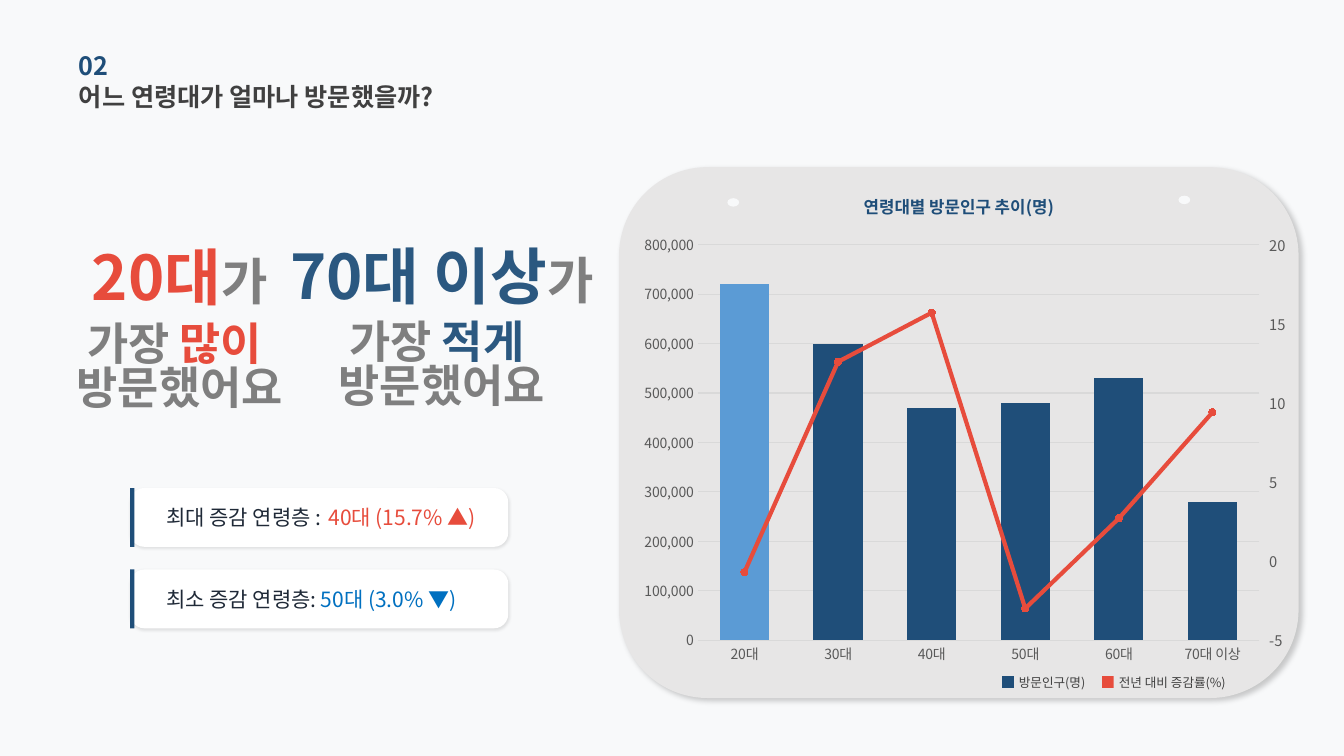
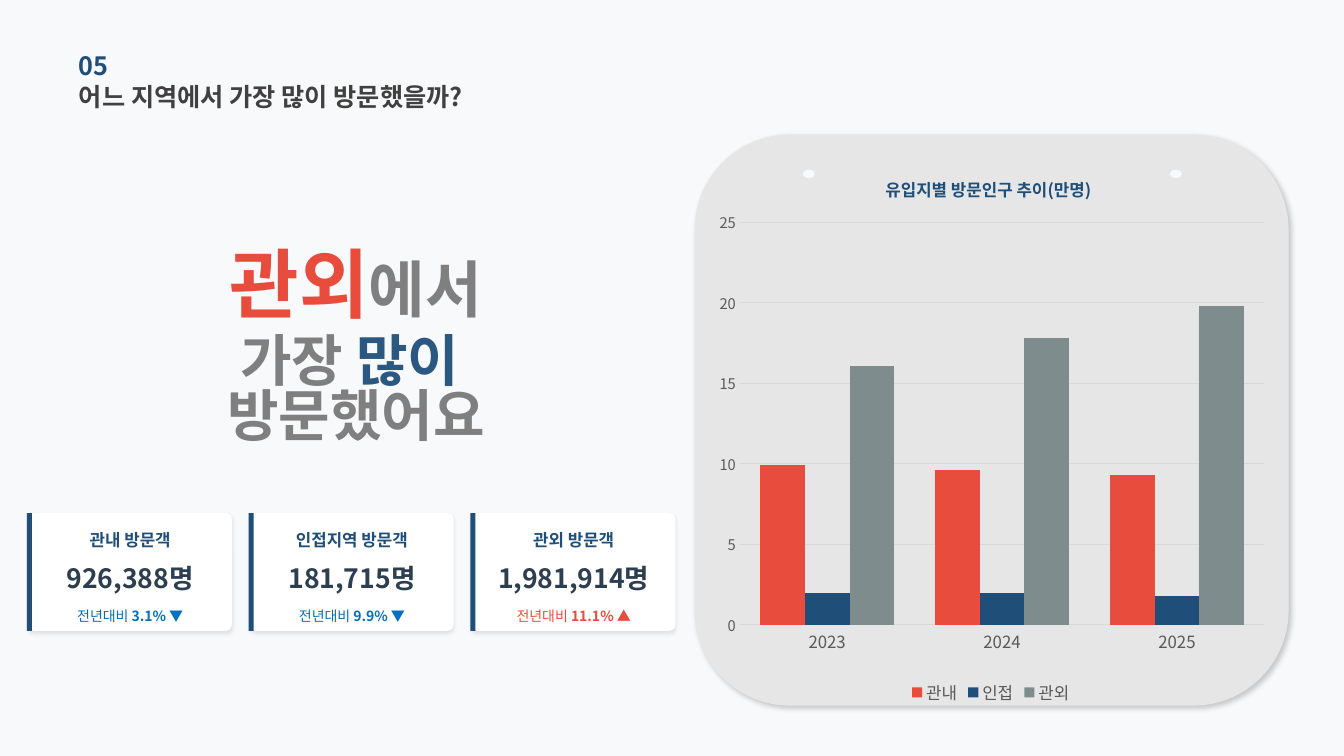
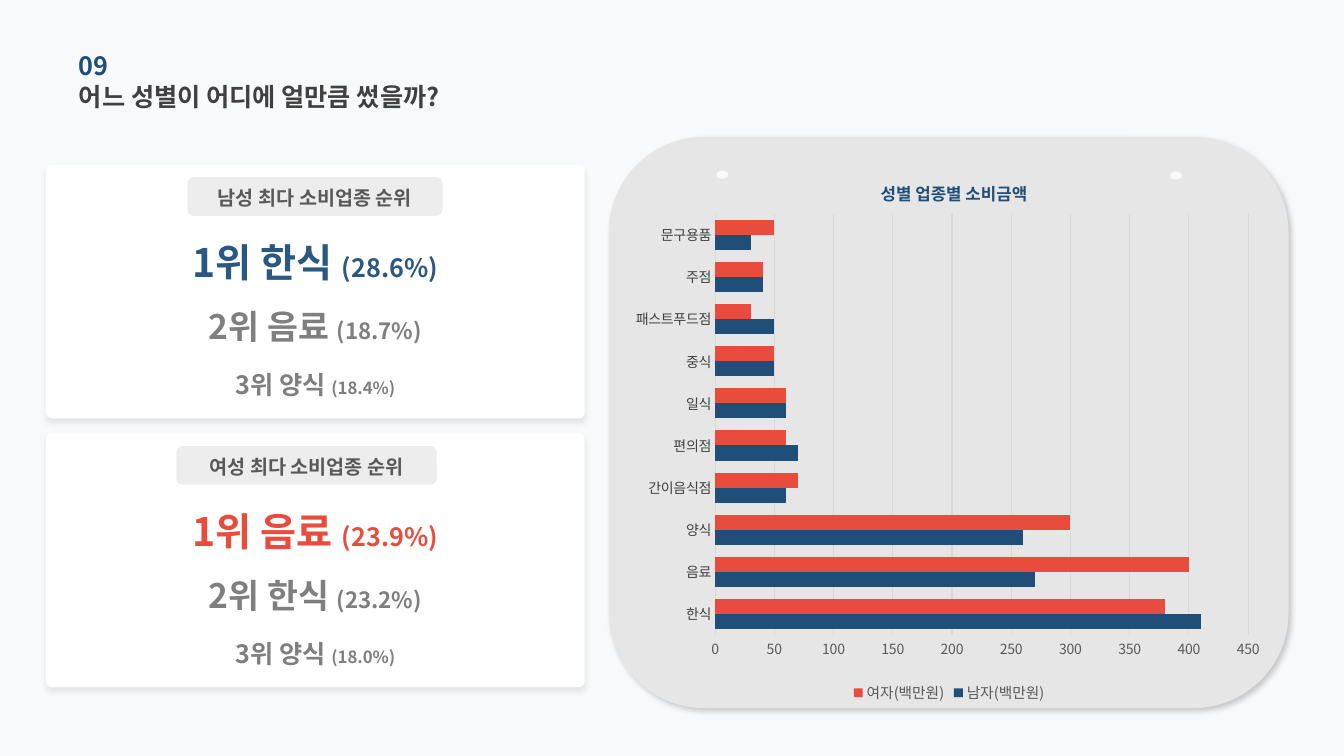
import pptx
import pptx.chart.data
import pptx.dml.color
import pptx.enum.chart
import pptx.enum.shapes
import pptx.enum.text
import pptx.oxml
import pptx.oxml.ns
import pptx.util

RGBColor = pptx.dml.color.RGBColor
PAPER = RGBColor(0xF8, 0xF9, 0xFA)
WHITE = RGBColor(0xFF, 0xFF, 0xFF)
PANEL = RGBColor(0xE7, 0xE6, 0xE6)
BADGE = RGBColor(0xD0, 0xCE, 0xCE)
RULE = RGBColor(0xD9, 0xD9, 0xD9)
NAVY = RGBColor(0x1F, 0x4E, 0x79)
STEEL = RGBColor(0x2B, 0x58, 0x80)
SKY = RGBColor(0x5B, 0x9B, 0xD5)
BLUE = RGBColor(0x00, 0x70, 0xC0)
RED = RGBColor(0xE7, 0x4C, 0x3C)
SAGE = RGBColor(0x7F, 0x8C, 0x8D)
GRAY = RGBColor(0x7F, 0x7F, 0x7F)
SLATE = RGBColor(0x59, 0x59, 0x59)
CHARCOAL = RGBColor(0x40, 0x40, 0x40)
INK = RGBColor(0x1F, 0x29, 0x37)
MIDNIGHT = RGBColor(0x2C, 0x3E, 0x50)

FONT = "Noto Sans CJK KR"
SHAPE = pptx.enum.shapes.MSO_SHAPE
ALIGN = pptx.enum.text.PP_ALIGN
CHART = pptx.enum.chart.XL_CHART_TYPE
TICK = pptx.enum.chart.XL_TICK_MARK
Pt = pptx.util.Pt
qn = pptx.oxml.ns.qn
NAMES = pptx.oxml.ns.nsdecls("a", "c")

deck = pptx.Presentation()
deck.slide_height = pptx.util.Inches(7.5)
deck.slide_width = deck.slide_height * 16 // 9
CELL = deck.slide_width / 160
backdrop = deck.slide_master.background.fill
backdrop.solid()
backdrop.fore_color.rgb = PAPER


def draw(page, kind, box, color, corner=None, shadow=None, opacity=None):
    shape = page.shapes.add_shape(kind, *[int(CELL * cells) for cells in box])
    shape.shadow.inherit = False
    shape.fill.solid()
    shape.fill.fore_color.rgb = color
    shape.line.fill.background()
    if corner is not None:
        shape.adjustments[0] = corner
    if shadow:
        strength, blur, distance, angle = shadow
        shape.element.spPr.find(qn("a:effectLst")).append(pptx.oxml.parse_xml(
            f'<a:outerShdw {NAMES} blurRad="{Pt(blur)}" dist="{Pt(distance)}" dir="{angle * 60000}"'
            f' algn="ctr" rotWithShape="0"><a:srgbClr val="000000">'
            f'<a:alpha val="{strength * 1000}"/></a:srgbClr></a:outerShdw>'))
    if opacity:
        shape.element.spPr.find(qn("a:solidFill"))[0].append(
            pptx.oxml.parse_xml(f'<a:alpha {NAMES} val="{opacity * 1000}"/>'))


def write(page, box, lines, align=ALIGN.CENTER):
    frame = page.shapes.add_textbox(*[int(CELL * cells) for cells in box]).text_frame
    layout = {"word_wrap": True, "vertical_anchor": pptx.enum.text.MSO_ANCHOR.MIDDLE,
              "margin_left": 0, "margin_top": 0, "margin_right": 0, "margin_bottom": 0}
    for name, value in layout.items():
        setattr(frame, name, value)
    for number, spans in enumerate(lines):
        para = frame.add_paragraph() if number else frame.paragraphs[0]
        para.alignment = align
        if len(lines) > 1:
            para.line_spacing = 0.82
        for text, size, color, bold in spans:
            span = para.add_run()
            span.text = text
            for name, value in {"name": FONT, "size": Pt(size), "bold": bold}.items():
                setattr(span.font, name, value)
            span.font.color.rgb = color


pages = []
for number, title, panel, dots in [
    ("02", "어느 연령대가 얼마나 방문했을까?", (73.7, 19.9, 80.9, 63.2), [(86.6, 23.6), (140.3, 23.3)]),
    ("05", "어느 지역에서 가장 많이 방문했을까?", (82.7, 16, 70.7, 68), [(95.6, 20.2), (139.3, 20.2)]),
    ("09", "어느 성별이 어디에 얼만큼 썼을까?", (72.5, 16.3, 80.9, 68), [(85.3, 20.3), (139.3, 20.4)]),
]:
    page = deck.slides.add_slide(deck.slide_layouts[6])
    pages.append(page)
    draw(page, SHAPE.ROUNDED_RECTANGLE, panel, PANEL, shadow=(20, 4, 3, 45))
    write(page, (9.4, 5.3, 63, 4.9), [[(number, 18, NAVY, True)]], ALIGN.LEFT)
    write(page, (9.4, 9, 63, 4.9), [[(title, 18, CHARCOAL, True)]], ALIGN.LEFT)
    for left, top in dots:
        draw(page, SHAPE.OVAL, (left, top, 1.4, 1), PAPER)
age_page, region_page, gender_page = pages

for page, left, top, drop, subject, particle, accent, degree, degree_color, sizes in [
    (age_page, 1.4, 29.9, 9, "20대", "가", RED, "많이 ", RED, (44, 36, 32)),
    (age_page, 32.6, 29.8, 8.9, "70대 이상", "가", STEEL, "적게 ", STEEL, (44, 36, 32)),
    (region_page, 22.4, 30.7, 11, "관외", "에서", RED, "많이 ", STEEL, (54, 44, 40)),
]:
    large, medium, small = sizes
    write(page, (left, top, 40, 5.8), [[(subject, large, accent, True), (particle, medium, GRAY, True)]])
    write(page, (left, top + drop, 40, 10.1), [
        [("가장 ", small, GRAY, True), (degree, small, degree_color, True)],
        [("방문했어요", small, GRAY, True)]])

for row, (label, value, left, color) in enumerate([
    ("최대 증감 연령층 :", "40대 (15.7% ▲)", 39.1, RED),
    ("최소 증감 연령층:", "50대 (3.0% ▼)", 38.2, BLUE),
]):
    top = 58.1 + 9.7 * row
    draw(age_page, SHAPE.ROUNDED_RECTANGLE, (15.5, top, 45, 7), WHITE, 0.24, (10, 2, 1, 90))
    draw(age_page, SHAPE.RECTANGLE, (15.5, top, 0.5, 7), NAVY)
    write(age_page, (19.8, top, 23, 7), [[(label, 15, INK, False)]], ALIGN.LEFT)
    write(age_page, (left, top, 23, 7), [[(value, 15, color, False)]], ALIGN.LEFT)

for column, (heading, count, change, color) in enumerate([
    ("관내 방문객", "926,388명", "3.1% ▼", BLUE),
    ("인접지역 방문객", "181,715명", "9.9% ▼", BLUE),
    ("관외 방문객", "1,981,914명", "11.1% ▲", RED),
]):
    left = 3.4 + 26.4 * column
    draw(region_page, SHAPE.ROUNDED_RECTANGLE, (left, 61.1, 24.2, 14), WHITE, 0.05, (10, 3, 2, 90))
    draw(region_page, SHAPE.RECTANGLE, (left - 0.2, 61.1, 0.6, 14), NAVY)
    for top, height, spans in [
        (63, 2.6, [(heading, 12, NAVY, True)]),
        (66.8, 4.1, [(count, 19, MIDNIGHT, True)]),
        (72.1, 2.4, [("전년대비 ", 10, color, False), (change, 10, color, True)]),
    ]:
        write(region_page, (left, top, 24.2, height), [spans])

for row, (heading, badge_left, badge_width, color, ranks) in enumerate([
    ("남성 최다 소비업종 순위", 22.3, 30.4, STEEL,
     [("1위 한식 ", "(28.6%)"), ("2위 음료 ", "(18.7%)"), ("3위 양식 ", "(18.4%)")]),
    ("여성 최다 소비업종 순위", 21, 31, RED,
     [("1위 음료 ", "(23.9%)"), ("2위 한식 ", "(23.2%)"), ("3위 양식 ", "(18.0%)")]),
]):
    top = 19.6 + 32 * row
    draw(gender_page, SHAPE.ROUNDED_RECTANGLE, (5.5, top, 64.1, 30.2), WHITE, 0.02, (8, 4, 3, 90))
    draw(gender_page, SHAPE.ROUNDED_RECTANGLE, (badge_left, top + 1.5, badge_width, 4.6), BADGE, opacity=36)
    write(gender_page, (badge_left, top + 1.5, badge_width, 4.9), [[(heading, 14, SLATE, True)]])
    styles = [(8.7, 5.8, 28, 18, color), (14.2, 10.1, 24, 16, GRAY), (21.1, 10.1, 18, 12, GRAY)]
    for (name, share), (drop, height, large, small, tint) in zip(ranks, styles):
        write(gender_page, (5.5, top + drop, 64.1, height),
              [[(name, large, tint, True), (share, small, tint, True)]])

charts = []
for page, kind, box, plot_share, title, title_left, legend_size, category_style, value_size, scale, gap, categories, series in [
    (age_page, CHART.COLUMN_CLUSTERED, (75.1, 27, 79.6, 53.5), (0.1, 0.04, 0.84, 0.88),
     None, 0, None, (10, SLATE), 10, (800000, 100000, "#,##0"), 90,
     ["20대", "30대", "40대", "50대", "60대", "70대 이상"],
     [("방문인구(명)", NAVY, (720000, 600000, 470000, 480000, 530000, 280000)),
      ("전년 대비 증감률(%)", RED, (-0.7, 12.6, 15.7, -3, 2.7, 9.4))]),
    (region_page, CHART.COLUMN_CLUSTERED, (84, 17.8, 67.9, 66.6), (0.06, 0.13, 0.92, 0.72),
     "유입지별 방문인구 추이(만명)", 0.31, 12, (12, SLATE), 10.5, (25, 5, "General"), 90,
     ["2023", "2024", "2025"],
     [("관내", RED, (9.9, 9.6, 9.3)), ("인접", NAVY, (2, 2, 1.8)), ("관외", SAGE, (16.1, 17.8, 19.8))]),
    (gender_page, CHART.BAR_CLUSTERED, (74.3, 18.2, 77.4, 66), (0.14, 0.11, 0.82, 0.76),
     "성별 업종별 소비금액", 0.39, 10.5, (10, CHARCOAL), 10, (450, 50, "General"), 80,
     ["한식", "음료", "양식", "간이음식점", "편의점", "일식", "중식", "패스트푸드점", "주점", "문구용품"],
     [("남자(백만원)", NAVY, (410, 270, 260, 60, 70, 60, 50, 50, 40, 30)),
      ("여자(백만원)", RED, (380, 400, 300, 70, 60, 60, 50, 30, 40, 50))]),
]:
    data = pptx.chart.data.CategoryChartData()
    data.categories = categories
    for name, color, values in series:
        data.add_series(name, values)
    chart = page.shapes.add_chart(kind, *[int(CELL * cells) for cells in box], data).chart
    charts.append(chart)
    chart.font.name = FONT
    chart.font.size = Pt(10)
    chart.has_title = title is not None
    chart.has_legend = legend_size is not None
    plot = chart.plots[0]
    plot.gap_width = gap
    plot.vary_by_categories = False
    for bars, (name, color, values) in zip(plot.series, series):
        bars.format.fill.solid()
        bars.format.fill.fore_color.rgb = color

    category_axis, value_axis = chart.category_axis, chart.value_axis
    maximum, step, number_format = scale
    for name, value in {"minimum_scale": 0, "maximum_scale": maximum, "major_unit": step,
                        "has_major_gridlines": True}.items():
        setattr(value_axis, name, value)
    value_axis.tick_labels.number_format = number_format
    value_axis.tick_labels.number_format_is_linked = False
    value_axis.format.line.fill.background()
    for line in (category_axis.format.line, value_axis.major_gridlines.format.line):
        line.color.rgb = RULE
        line.width = Pt(0.75)
    labels = [(category_axis.tick_labels.font, *category_style, False),
              (value_axis.tick_labels.font, value_size, SLATE, False)]
    for axis in (category_axis, value_axis):
        axis.major_tick_mark = TICK.NONE
        axis.minor_tick_mark = TICK.NONE
    plot_area = chart.element.find(".//" + qn("c:plotArea"))
    placed = [(plot_area, 0, plot_share)]
    if title:
        span = chart.chart_title.text_frame.paragraphs[0].add_run()
        span.text = title
        labels.append((span.font, 12, NAVY, True))
        placed.append((chart.element.find(".//" + qn("c:title")), 1, (title_left, 0.04)))
        chart.legend.position = pptx.enum.chart.XL_LEGEND_POSITION.BOTTOM
        chart.legend.include_in_layout = False
        labels.append((chart.legend.font, legend_size, SLATE, False))
    for font, size, color, bold in labels:
        for name, value in {"name": FONT, "size": Pt(size), "bold": bold}.items():
            setattr(font, name, value)
        font.color.rgb = color

    for holder, index, shares in placed:
        for unset in holder.findall(qn("c:layout")):
            holder.remove(unset)
        target = '<c:layoutTarget val="inner"/>' if len(shares) == 4 else ""
        modes = "".join(f'<c:{side}Mode val="edge"/>' for side in "xy")
        sizes = "".join(f'<c:{side} val="{share}"/>' for side, share in zip("xywh", shares))
        holder.insert(index, pptx.oxml.parse_xml(
            f"<c:layout {NAMES}><c:manualLayout>{target}{modes}{sizes}</c:manualLayout></c:layout>"))
    clear = f"<c:spPr {NAMES}><a:noFill/><a:ln><a:noFill/></a:ln></c:spPr>"
    plot_area.append(pptx.oxml.parse_xml(clear))
    chart.element.find(qn("c:txPr")).addprevious(pptx.oxml.parse_xml(clear))

age_chart = charts[0]
age_chart.plots[0].overlap = -27
top_bar = age_chart.plots[0].series[0].points[0].format.fill
top_bar.solid()
top_bar.fore_color.rgb = SKY
bar_group = age_chart.element.find(".//" + qn("c:barChart"))
rate = bar_group.findall(qn("c:ser"))[1]
for bar_setting in rate.findall(qn("c:invertIfNegative")):
    rate.remove(bar_setting)
line_group = pptx.oxml.parse_xml(
    f'<c:lineChart {NAMES}><c:grouping val="standard"/><c:varyColors val="0"/>'
    '<c:marker val="1"/><c:axId val="501"/><c:axId val="502"/></c:lineChart>')
line_group.insert(2, rate)
bar_group.addnext(line_group)
last_axis = age_chart.element.findall(".//" + qn("c:valAx"))[-1]
for axis_xml in [
    f'<c:valAx {NAMES}><c:axId val="502"/><c:scaling><c:orientation val="minMax"/><c:max val="20"/>'
    '<c:min val="-5"/></c:scaling><c:delete val="0"/><c:axPos val="r"/>'
    '<c:numFmt formatCode="General" sourceLinked="0"/><c:majorTickMark val="out"/>'
    '<c:minorTickMark val="none"/><c:tickLblPos val="nextTo"/>'
    '<c:spPr><a:ln><a:noFill/></a:ln></c:spPr><c:txPr><a:bodyPr/><a:p><a:pPr>'
    f'<a:defRPr sz="1050" b="0"><a:solidFill><a:srgbClr val="{SLATE}"/></a:solidFill>'
    f'<a:latin typeface="{FONT}"/></a:defRPr></a:pPr><a:endParaRPr lang="ko-KR"/></a:p></c:txPr>'
    '<c:crossAx val="501"/><c:crosses val="max"/><c:majorUnit val="5"/></c:valAx>',
    f'<c:catAx {NAMES}><c:axId val="501"/><c:scaling><c:orientation val="minMax"/></c:scaling>'
    '<c:delete val="1"/><c:axPos val="b"/><c:crossAx val="502"/></c:catAx>',
]:
    last_axis.addnext(pptx.oxml.parse_xml(axis_xml))
trend = age_chart.plots[1].series[0]
trend.smooth = False
trend.format.line.color.rgb = RED
trend.format.line.width = Pt(3)
trend.marker.style = pptx.enum.chart.XL_MARKER_STYLE.CIRCLE
trend.marker.size = 5
trend.marker.format.fill.solid()
trend.marker.format.fill.fore_color.rgb = RED
trend.marker.format.line.color.rgb = RED

write(age_page, (96.4, 22.8, 35.5, 3.6), [[("연령대별 방문인구 추이(명)", 12, NAVY, True)]])
for left, name, color in [(119.3, "방문인구(명)", NAVY), (131.2, "전년 대비 증감률(%)", RED)]:
    draw(age_page, SHAPE.RECTANGLE, (left, 80.5, 1.4, 1.4), color)
    write(age_page, (left + 2, 80.2, 18, 2.2), [[(name, 9, CHARCOAL, False)]], ALIGN.LEFT)

for root in [page.element for page in pages] + [chart.element for chart in charts]:
    for latin in list(root.iter(qn("a:latin"))):
        latin.addnext(pptx.oxml.parse_xml(f'<a:ea {NAMES} typeface="{FONT}"/>'))

deck.save("out.pptx")
